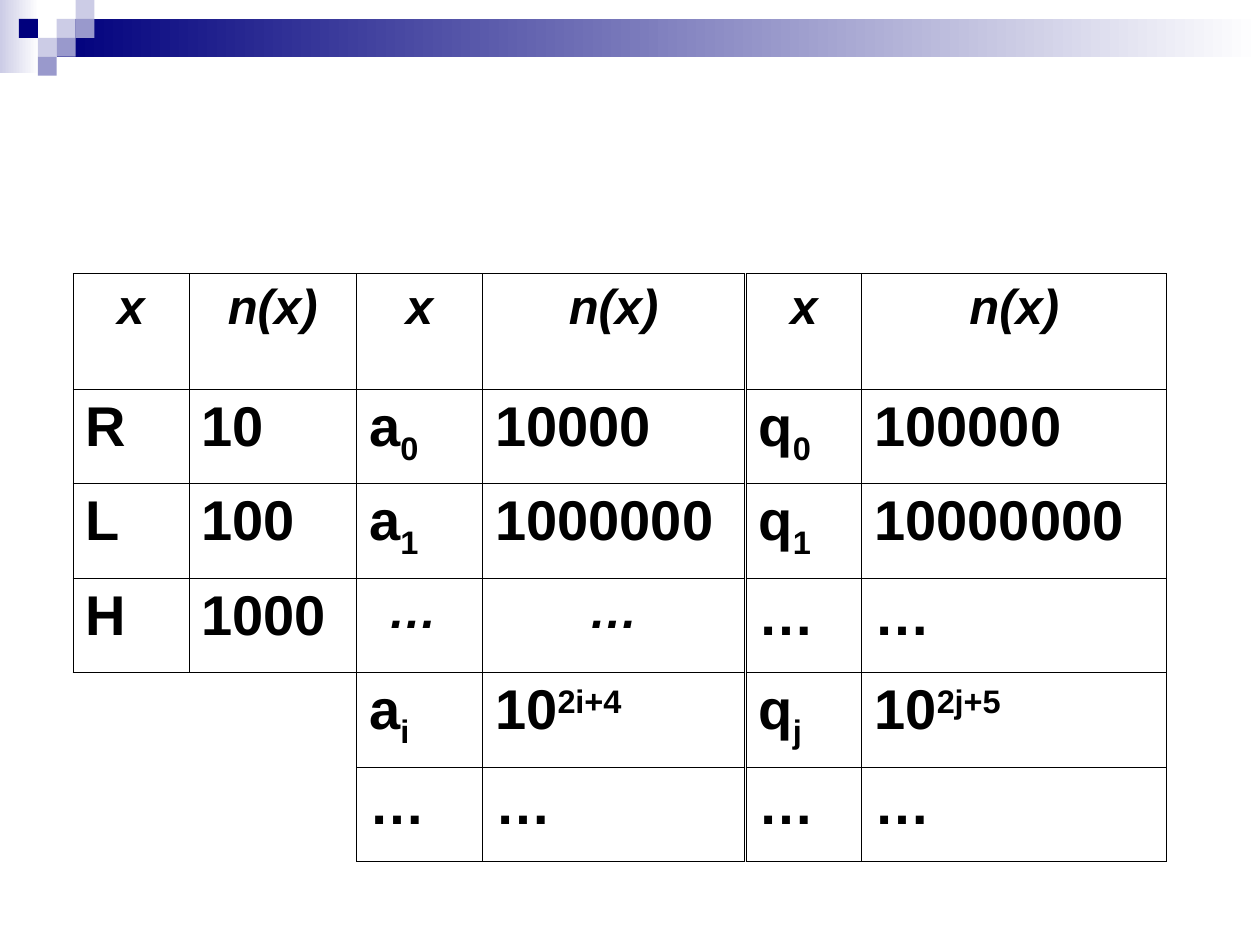
import lxml.etree
import pptx
import pptx.dml.color
import pptx.enum.shapes
import pptx.enum.text
import pptx.oxml.ns
import pptx.util

Inches = pptx.util.Inches
UNIT = 0.15
HEADER = ("x", "n(x)")
TABLES = [
    (2.83, (1, 2.08), {0, 3}, [
        HEADER, ("a_0", "10000"), ("a_1", "1000000"),
        ("… ", "…"), ("a_i", "10^2i+4"), ("…", "…")]),
    (0.58, (0.92, 1.33), {0}, [
        HEADER, ("R", "10"), ("L", "100"), ("H", "1000")]),
    (5.92, (0.92, 2.42), {0}, [
        HEADER, ("q_0", "100000"), ("q_1", "10000000"),
        ("…", "…"), ("q_j", "10^2j+5"), ("…", "…")]),
]
SQUARES = [
    (3, 1, "CCCCE6"), (4, 0, "CCCCE6"), (4, 1, "9999CC"), (2, 2, "CCCCE6"),
    (1, 1, "00007D"), (3, 2, "9999CC"), (2, 3, "9999CC"),
]


def colour(value):
    """Return the colour for a hex string."""
    return pptx.dml.color.RGBColor.from_string(value)


def add_block(page, left, top, width, height):
    """Add a rectangle without line or shadow."""
    block = page.shapes.add_shape(
        pptx.enum.shapes.MSO_SHAPE.RECTANGLE,
        Inches(left), Inches(top), Inches(width), Inches(height))
    block.shadow.inherit = False
    block.line.fill.background()
    return block


def add_fading_bar(page, left, top, width, height, start):
    """Add a bar that fades from a colour on the left to white."""
    fill = add_block(page, left, top, width, height).fill
    fill.gradient()
    fill.gradient_angle = 180
    for stop, value in zip(fill.gradient_stops, ("FFFFFF", start)):
        stop.color.rgb = colour(value)


def add_square(page, column, row, value):
    """Add a small square on the corner grid."""
    square = add_block(page, column * UNIT, row * UNIT, UNIT, UNIT)
    square.fill.solid()
    square.fill.fore_color.rgb = colour(value)


def add_span(para, text, italic, baseline=0):
    """Add a bold run, raised or lowered by a baseline percentage."""
    span = para.add_run()
    span.text = text
    span.font.name = "Arial"
    span.font.size = pptx.util.Pt(28 if italic else 32)
    span.font.bold = True
    span.font.italic = italic
    span.font.color.rgb = colour("000000")
    if baseline:
        span._r.get_or_add_rPr().set("baseline", str(baseline * 1000))


def write_cell(cell, text, italic):
    """Write text in which _ starts a subscript and ^ a superscript."""
    para = cell.text_frame.paragraphs[0]
    align = pptx.enum.text.PP_ALIGN
    para.alignment = align.CENTER if italic else align.LEFT
    mark = "^" if "^" in text else "_"
    base, _, script = text.partition(mark)
    add_span(para, base, italic)
    if script:
        add_span(para, script, italic, 30 if mark == "^" else -25)


def frame_cell(cell):
    """Give a cell thin black borders and no fill."""
    properties = cell._tc.get_or_add_tcPr()
    qn = pptx.oxml.ns.qn
    for side in ("a:lnL", "a:lnR", "a:lnT", "a:lnB"):
        line = lxml.etree.SubElement(
            properties, qn(side), w=str(pptx.util.Pt(0.45)))
        fill = lxml.etree.SubElement(line, qn("a:solidFill"))
        lxml.etree.SubElement(fill, qn("a:srgbClr"), val="000000")
    cell.fill.background()


def add_code_table(page, left, widths, italic_rows, rows):
    """Add a table of symbols and their code numbers."""
    heights = [0.92] + [0.75] * (len(rows) - 1)
    table = page.shapes.add_table(
        len(rows), len(widths), Inches(left), Inches(2.17),
        Inches(sum(widths)), Inches(sum(heights))).table
    table.first_row = False
    table.horz_banding = False
    for column, width in zip(table.columns, widths):
        column.width = Inches(width)
    for index, (height, texts) in enumerate(zip(heights, rows)):
        table.rows[index].height = Inches(height)
        for cell, text in zip(table.rows[index].cells, texts):
            write_cell(cell, text, index in italic_rows)
            frame_cell(cell)


def main():
    """Build and save the slide."""
    deck = pptx.Presentation()
    deck.slide_width, deck.slide_height = Inches(10), Inches(7.5)
    page = deck.slides.add_slide(deck.slide_layouts[6])
    add_fading_bar(page, 0, 0, 0.31, 0.58, "CCCCE6")
    add_fading_bar(page, 0.45, 0.15, 9.55, 0.3, "00007D")
    for square in SQUARES:
        add_square(page, *square)
    for table in TABLES:
        add_code_table(page, *table)
    deck.save("out.pptx")


if __name__ == "__main__":
    main()
